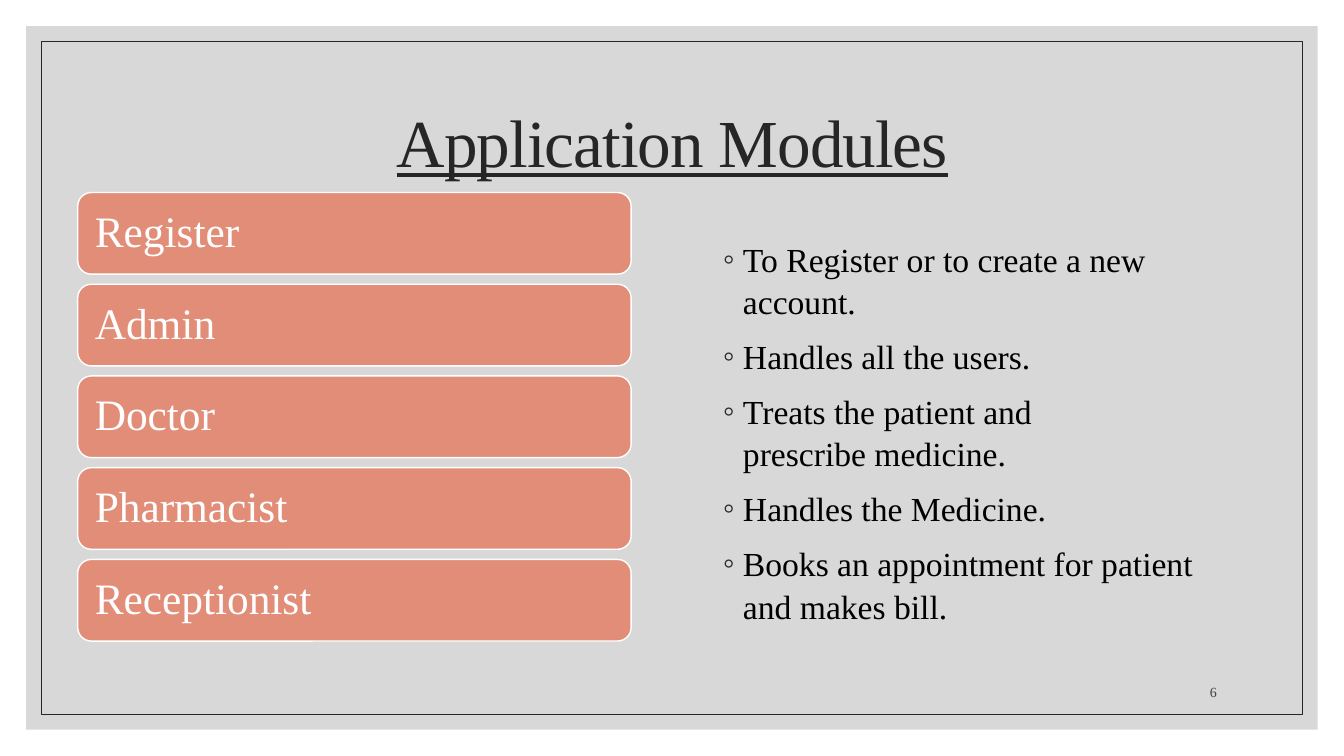
from pptx import Presentation
from pptx.dml.color import RGBColor
from pptx.enum.shapes import MSO_SHAPE
from pptx.enum.text import MSO_ANCHOR, MSO_AUTO_SIZE, PP_ALIGN
from pptx.oxml.ns import qn
from pptx.util import Inches, Pt
from lxml.etree import SubElement

PANEL = RGBColor(0xBF, 0xBF, 0xBF)
INK = RGBColor(0x26, 0x26, 0x26)
NUMBER = RGBColor(0x40, 0x40, 0x40)
CORAL = RGBColor(0xE1, 0x8D, 0x78)
WHITE = RGBColor(0xFF, 0xFF, 0xFF)
BLACK = RGBColor(0x00, 0x00, 0x00)
FONT = "Times New Roman"
NBSP = chr(160)  # keeps two words on one line

MODULES = ["Register", "Admin", "Doctor", "Pharmacist", "Receptionist"]
DUTIES = [
    "To Register or to create a new account.",
    "Handles all the users.",
    f"Treats the patient and prescribe{NBSP}medicine.",
    "Handles the Medicine.",
    f"Books an appointment for patient and makes{NBSP}bill.",
]

prs = Presentation()
prs.slide_width, prs.slide_height = Inches(13.33), Inches(7.5)


def place(box):
    """Turn a box in percent of the slide into lengths."""
    x, y, w, h = box
    dx, dy = prs.slide_width / 100, prs.slide_height / 100
    return int(x * dx), int(y * dy), int(w * dx), int(h * dy)


def move(sp, box):
    sp.left, sp.top, sp.width, sp.height = place(box)


def write(sp, lines, size, color, align=PP_ALIGN.LEFT, anchor=MSO_ANCHOR.MIDDLE,
          spacing=1.0, before=0, inset=0.1, underline=None):
    tf = sp.text_frame
    tf.word_wrap = True
    tf.auto_size = MSO_AUTO_SIZE.NONE
    tf.vertical_anchor = anchor
    tf.margin_left = tf.margin_right = Inches(inset)
    for i, line in enumerate(lines):
        p = tf.add_paragraph() if i else tf.paragraphs[0]
        p.alignment, p.line_spacing, p.space_before = align, spacing, Pt(before)
        r = p.add_run()
        r.text = line
        r.font.name, r.font.size, r.font.underline = FONT, Pt(size), underline
        r.font.color.rgb = color
    return tf


def add_box(s, kind, box, fill=None, line=None, width=1):
    sp = s.shapes.add_shape(kind, *place(box))
    sp.shadow.inherit = False
    if fill is None:
        sp.fill.background()
    else:
        sp.fill.solid()
        sp.fill.fore_color.rgb = fill
    if line is None:
        sp.line.fill.background()
    else:
        sp.line.color.rgb, sp.line.width = line, Pt(width)
    return sp


def add_backdrop(s, box):
    x, y, w, h = box
    panel = add_box(s, MSO_SHAPE.RECTANGLE, box, fill=PANEL)
    color = panel.fill._xPr.find(qn("a:solidFill"))[0]
    SubElement(color, qn("a:alpha"), val="60000")
    inner = (x + 1.12, y + 2, w - 2.24, h - 4)
    frame = add_box(s, MSO_SHAPE.RECTANGLE, inner, line=INK, width=0.5)
    # Send both behind the placeholders
    for depth, sp in enumerate((panel, frame), start=2):
        s.shapes._spTree.insert(depth, sp._element)


def add_title(s, box, text):
    sp = s.shapes.title
    move(sp, box)
    tf = write(sp, [text], 48, INK, align=PP_ALIGN.CENTER, spacing=0.9,
               underline=True)
    tf.paragraphs[0].runs[0].font._element.set("spc", "-70")


def add_modules(s, box, names):
    x, y, w, h = box
    gap = 1.33
    height = (h - gap * (len(names) - 1)) / len(names)
    for i, name in enumerate(names):
        card = add_box(s, MSO_SHAPE.ROUNDED_RECTANGLE,
                       (x, y + i * (height + gap), w, height), CORAL, WHITE)
        write(card, [name], 31, WHITE, spacing=0.9, inset=0.13)


def add_duties(s, box, duties):
    sp = s.placeholders[1]
    move(sp, box)
    tf = write(sp, duties, 24, BLACK, anchor=MSO_ANCHOR.TOP, spacing=1.05, before=9)
    for p in tf.paragraphs:
        pPr = p._p.get_or_add_pPr()
        pPr.set("marL", str(Inches(0.2)))
        pPr.set("indent", str(-Inches(0.2)))
        color = SubElement(pPr, qn("a:buClr"))
        SubElement(color, qn("a:srgbClr"), val=str(INK))
        SubElement(pPr, qn("a:buFont"), typeface=FONT)
        SubElement(pPr, qn("a:buChar"), char="◦")


def add_number(s, box, number):
    sp = s.shapes.add_textbox(*place(box))
    write(sp, [number], 10, NUMBER, align=PP_ALIGN.RIGHT, anchor=MSO_ANCHOR.BOTTOM)


def main():
    s = prs.slides.add_slide(prs.slide_layouts[1])
    add_backdrop(s, (1.95, 3.47, 96.1, 93.06))
    add_title(s, (8.78, 9.33, 82.5, 20), "Application Modules")
    add_modules(s, (5.78, 25.47, 41.18, 59.33), MODULES)
    add_duties(s, (53.03, 30.67, 38.25, 54.67), DUTIES)
    add_number(s, (84.38, 88, 6.9, 5.33), "6")
    prs.save("out.pptx")


if __name__ == "__main__":
    main()
